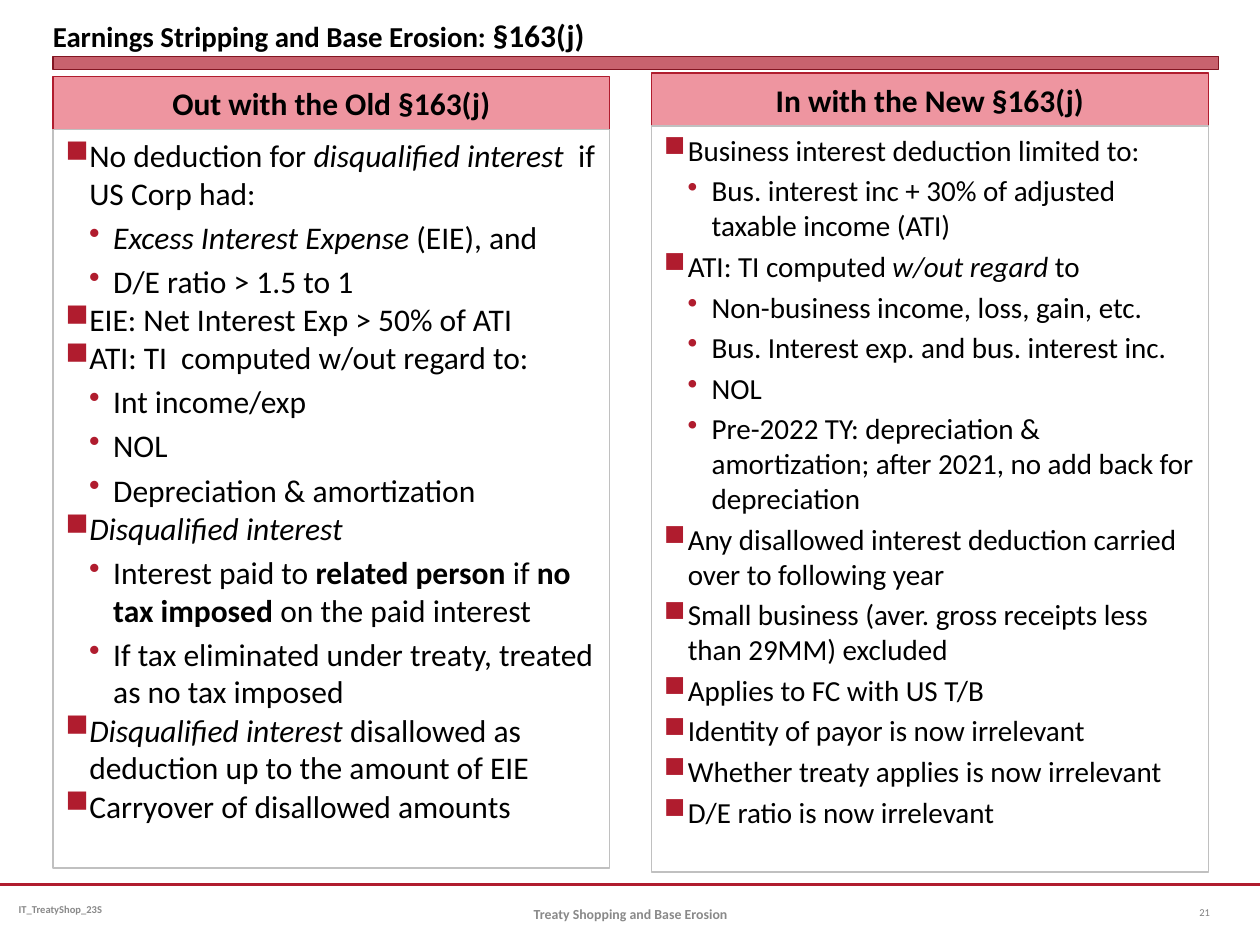
from lxml import etree
from pptx import Presentation, util as u
from pptx.dml.color import RGBColor
from pptx.enum import shapes, text
from pptx.oxml.ns import qn

RED, PINK, EDGE, GREY = "B01C2E", "EE95A0", "C0C0C0", "898989"
WHITE, BLACK = "FFFFFF", "000000"
LEFT, CENTER = text.PP_ALIGN.LEFT, text.PP_ALIGN.CENTER
TOP, MID, LOW = (text.MSO_ANCHOR.TOP, text.MSO_ANCHOR.MIDDLE,
                 text.MSO_ANCHOR.BOTTOM)
STEP = 0.19
MARKS = "■•"

TITLE = [("Earnings Stripping and Base Erosion: ", 16.5), ("§163(j)", 18)]

# Each item: level, then runs; a run is plain text or (text, "i" or "b").
OLD = [
    (0, "No deduction for ", ("disqualified interest  ", "i"),
     "if US Corp had:"),
    (1, ("Excess Interest Expense ", "i"), "(EIE), and"),
    (1, "D/E ratio > 1.5 to 1"),
    (0, "EIE: Net Interest Exp > 50% of ATI"),
    (0, "ATI: TI  computed w/out regard to:"),
    (1, "Int income/exp"),
    (1, "NOL"),
    (1, "Depreciation & amortization"),
    (0, ("Disqualified interest", "i")),
    (1, "Interest paid to ", ("related person ", "b"), "if ",
     ("no tax imposed ", "b"), "on the paid interest"),
    (1, "If tax eliminated under treaty, treated as no tax imposed"),
    (0, ("Disqualified interest ", "i"),
     "disallowed as deduction up to the amount of EIE"),
    (0, "Carryover of disallowed amounts"),
]
NEW = [
    (0, "Business interest deduction limited to:"),
    (1, "Bus. interest inc + 30% of adjusted taxable income (ATI)"),
    (0, "ATI: TI computed ", ("w/out regard ", "i"), "to"),
    (1, "Non-business income, loss, gain, etc."),
    (1, "Bus. Interest exp. and bus. interest inc."),
    (1, "NOL"),
    (1, "Pre-2022 TY: depreciation & amortization; "
        "after 2021, no add back for depreciation"),
    (0, "Any disallowed interest deduction carried over to following year"),
    (0, "Small business (aver. gross receipts less than 29MM) excluded"),
    (0, "Applies to FC with US T/B"),
    (0, "Identity of payor is now irrelevant"),
    (0, "Whether treaty applies is now irrelevant"),
    (0, "D/E ratio is now irrelevant"),
]
# heading, items, left, top, head height, body height, size, space by level
COLS = [
    ("Out with the Old §163(j)", OLD, 0.42, 0.61, 0.42, 5.86, 18, (0.2, 3.6)),
    ("In with the New §163(j)", NEW, 5.17, 0.58, 0.42, 5.92, 16.6, (3.3, 3.3)),
]
WIDE = 4.42
# text, place, size, colour, bold, alignment
FOOT = [
    ("IT_TreatyShop_23S", (0.05, 7.02, 2.58, 0.4), 6, GREY, True, LEFT),
    ("21", (9.42, 7.04, 0.5, 0.4), 6, "808080", False, LEFT),
    ("Treaty Shopping and Base Erosion", (3.42, 7.05, 3.17, 0.4), 7.9, GREY,
     True, CENTER),
]


def hue(code):
    return RGBColor.from_string(code)


def inch(box):
    return [u.Inches(v) for v in box]


def style(para, size, color=BLACK, bold=False, align=LEFT):
    para.alignment = align
    font = para.font
    font.name, font.size, font.bold = "Calibri", u.Pt(size), bold
    font.color.rgb = hue(color)


def rect(slide, box, fill, line, width):
    shape = slide.shapes.add_shape(shapes.MSO_SHAPE.RECTANGLE, *inch(box))
    shape.shadow.inherit = False
    shape.fill.solid()
    shape.fill.fore_color.rgb = hue(fill)
    shape.line.color.rgb = hue(line)
    shape.line.width = u.Pt(width)
    return shape


def bullet(para, level):
    props = para._p.get_or_add_pPr()
    props.set("marL", str(u.Inches(STEP * (level + 1))))
    props.set("indent", str(-u.Inches(STEP)))
    tint = etree.SubElement(props, qn("a:buClr"))
    etree.SubElement(tint, qn("a:srgbClr"), val=RED)
    etree.SubElement(props, qn("a:buChar"), char=MARKS[level])


def fill_list(frame, items, size, gaps):
    frame.vertical_anchor = TOP
    for n, (level, *runs) in enumerate(items):
        para = frame.add_paragraph() if n else frame.paragraphs[0]
        para.level = level
        if n:
            para.space_before = u.Pt(gaps[level])
        bullet(para, level)
        style(para, size)
        for part in runs:
            words, kind = (part, "") if isinstance(part, str) else part
            run = para.add_run()
            run.text = words
            if kind == "i":
                run.font.italic = True
            elif kind == "b":
                run.font.bold = True


def add_title(slide):
    title = slide.shapes.title
    title.left, title.top, title.width, title.height = inch((0.42, 0, 9.25, 0.43))
    frame = title.text_frame
    frame.margin_left = frame.margin_right = 0
    frame.margin_top = frame.margin_bottom = 0
    frame.auto_size = text.MSO_AUTO_SIZE.NONE
    frame.vertical_anchor = LOW
    para = frame.paragraphs[0]
    style(para, TITLE[0][1], bold=True)
    for words, size in TITLE:
        run = para.add_run()
        run.text = words
        run.font.size = u.Pt(size)


def add_rules(slide):
    rule = slide.shapes.add_connector(
        shapes.MSO_CONNECTOR.STRAIGHT, *inch((0, 7.02, 10, 7.02)))
    rule.line.color.rgb = hue(RED)
    rule.line.width = u.Pt(1.25)
    etree.SubElement(rule._element.spPr, qn("a:effectLst"))
    bar = rect(slide, (0.42, 0.45, 9.25, 0.1), RED, "821522", 0)
    tint = bar._element.spPr.find(qn("a:solidFill"))[0]
    etree.SubElement(tint, qn("a:alpha"), val="69000")


def add_column(slide, head, items, left, top, high, deep, size, gaps):
    cap = rect(slide, (left, top, WIDE, high), PINK, RED, 0.75)
    cap.text_frame.vertical_anchor = MID
    para = cap.text_frame.paragraphs[0]
    para.text = head
    style(para, 18, bold=True, align=CENTER)
    body = rect(slide, (left, top + high, WIDE, deep), WHITE, EDGE, 0.75)
    fill_list(body.text_frame, items, size, gaps)


def add_foot(slide, words, box, *look):
    frame = slide.shapes.add_textbox(*inch(box)).text_frame
    frame.word_wrap = True
    frame.vertical_anchor = MID
    frame.paragraphs[0].text = words
    style(frame.paragraphs[0], *look)


def main():
    deck = Presentation()
    deck.slide_width, deck.slide_height = inch((10, 7.5))
    slide = deck.slides.add_slide(deck.slide_layouts[5])
    add_title(slide)
    add_rules(slide)
    for col in COLS:
        add_column(slide, *col)
    for note in FOOT:
        add_foot(slide, *note)
    deck.save("out.pptx")


if __name__ == "__main__":
    main()
